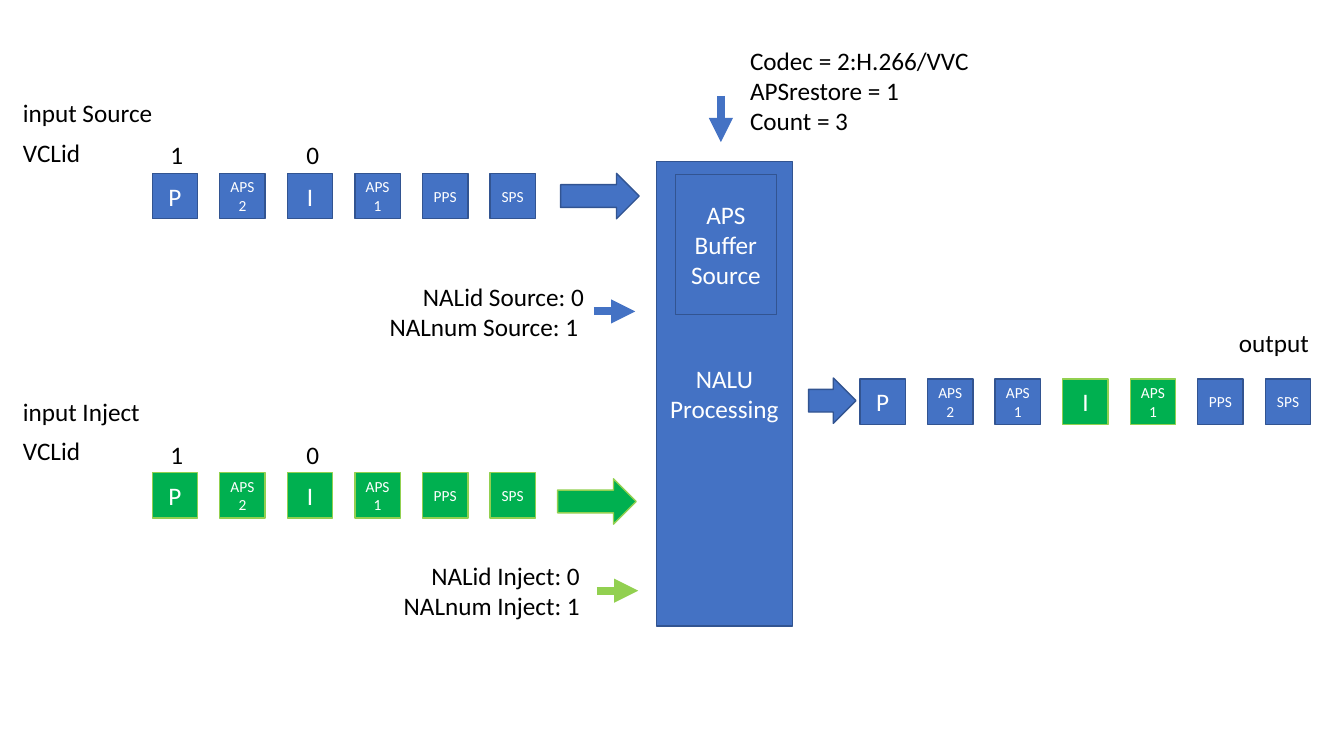
from pptx import Presentation
from pptx.dml.color import RGBColor
from pptx.enum.shapes import MSO_CONNECTOR as Connector, MSO_SHAPE as Shape
from pptx.enum.text import MSO_ANCHOR as Anchor, PP_ALIGN as Align
from pptx.oxml.ns import qn
from pptx.util import Pt
from lxml.etree import SubElement

PX = 9144  # EMU per px, 100 px to the inch
BLUE = RGBColor(0x44, 0x72, 0xC4)
DARK_BLUE = RGBColor(0x32, 0x54, 0x91)
GREEN = RGBColor(0x00, 0xB0, 0x50)
LIME = RGBColor(0x92, 0xD0, 0x50)
WHITE = RGBColor(0xFF, 0xFF, 0xFF)
BLACK = RGBColor(0x00, 0x00, 0x00)

SOURCE = (BLUE, DARK_BLUE)
INJECT = (GREEN, LIME)
UNIT_SIZE = 45
UNIT_PITCH = 67


def px(*lengths):
    return [length * PX for length in lengths]


class Diagram:
    font_name = "Calibri"
    large, small = Pt(18), Pt(11)

    def __init__(self, slide):
        self.shapes = slide.shapes

    def set_text(self, text_frame, text, color, align, size):
        text_frame.word_wrap = True
        text_frame.text = text
        font_format = {"name": self.font_name, "size": size}
        for paragraph in text_frame.paragraphs:
            paragraph.alignment = align
            for run in paragraph.runs:
                run.font.color.rgb = color
                for name, value in font_format.items():
                    setattr(run.font, name, value)

    def label(self, text, left, top, width, height=40, align=Align.LEFT):
        box = self.shapes.add_textbox(*px(left, top, width, height))
        self.set_text(box.text_frame, text, BLACK, align, self.large)

    def block(self, kind, left, top, width, height, colors, text="", size=large):
        shape = self.shapes.add_shape(kind, *px(left, top, width, height))
        shape.shadow.inherit = False
        fill_color, line_color = colors
        shape.fill.solid()
        shape.fill.fore_color.rgb = fill_color
        shape.line.color.rgb = line_color
        shape.line.width = Pt(1)
        shape.text_frame.vertical_anchor = Anchor.MIDDLE
        if text:
            self.set_text(shape.text_frame, text, WHITE, Align.CENTER, size)

    def unit_row(self, left, top, units):
        """Draw a stream of equally spaced (text, colors) units."""
        for index, (text, colors) in enumerate(units):
            size = self.large if len(text) == 1 else self.small
            self.block(Shape.RECTANGLE, left + index * UNIT_PITCH, top,
                       UNIT_SIZE, UNIT_SIZE, colors, text, size)

    def arrow(self, start, end, color):
        connector = self.shapes.add_connector(
            Connector.STRAIGHT, *px(*start, *end))
        connector.line.color.rgb = color
        connector.line.width = Pt(5.75)
        properties = connector._element.spPr
        SubElement(properties.find(qn("a:ln")), qn("a:tailEnd"), type="triangle")
        SubElement(properties, qn("a:effectLst"))


def main():
    presentation = Presentation()
    presentation.slide_width, presentation.slide_height = px(1333, 750)
    slide = presentation.slides.add_slide(presentation.slide_layouts[6])
    diagram = Diagram(slide)

    # Input streams: title, VCL ids, units
    inputs = [
        ("input Source", 92, 131, 133, 172, SOURCE, "APS2"),
        ("input Inject", 388, 427, 431, 469, INJECT, "APS 2"),
    ]
    for title, title_top, vcl_top, id_top, row_top, colors, second in inputs:
        diagram.label(title, 13, title_top, 170)
        diagram.label("VCLid", 13, vcl_top, 666)
        diagram.label("1", 159, id_top, 22)
        diagram.label("0", 294, id_top, 22)
        names = ["P", second, "I", "APS 1", "PPS", "SPS"]
        diagram.unit_row(151, row_top, [(name, colors) for name in names])

    # Output stream
    diagram.label("output", 1219, 320, 114)
    diagram.unit_row(853, 376, [
        ("P", SOURCE), ("APS2", SOURCE), ("APS 1", SOURCE), ("I", INJECT),
        ("APS 1", INJECT), ("PPS", SOURCE), ("SPS", SOURCE)])

    # Flow through the processing block
    for left, top, width, colors in [
            (556, 172, 78, SOURCE), (553, 475, 78, INJECT), (802, 375, 47, SOURCE)]:
        diagram.block(Shape.RIGHT_ARROW, left, top, width, 45, colors)
    diagram.block(Shape.RECTANGLE, 651, 160, 135, 461, SOURCE, "NALU Processing")
    diagram.block(Shape.RECTANGLE, 670, 173, 100, 139, SOURCE, "APS Buffer\nSource")

    # Parameters
    diagram.label("Codec = 2:H.266/VVC\nAPSrestore = 1\nCount = 3", 734, 40, 325, 101)
    diagram.label("NALid Source: 0\nNALnum Source: 1 ", 330, 274, 259, 71, Align.RIGHT)
    diagram.label("NALid Inject: 0\nNALnum Inject: 1", 316, 551, 269, 71, Align.RIGHT)
    diagram.arrow((715, 95), (715, 141), BLUE)
    diagram.arrow((589, 309), (630, 309), BLUE)
    diagram.arrow((592, 586), (633, 586), LIME)

    presentation.save("out.pptx")


if __name__ == "__main__":
    main()
